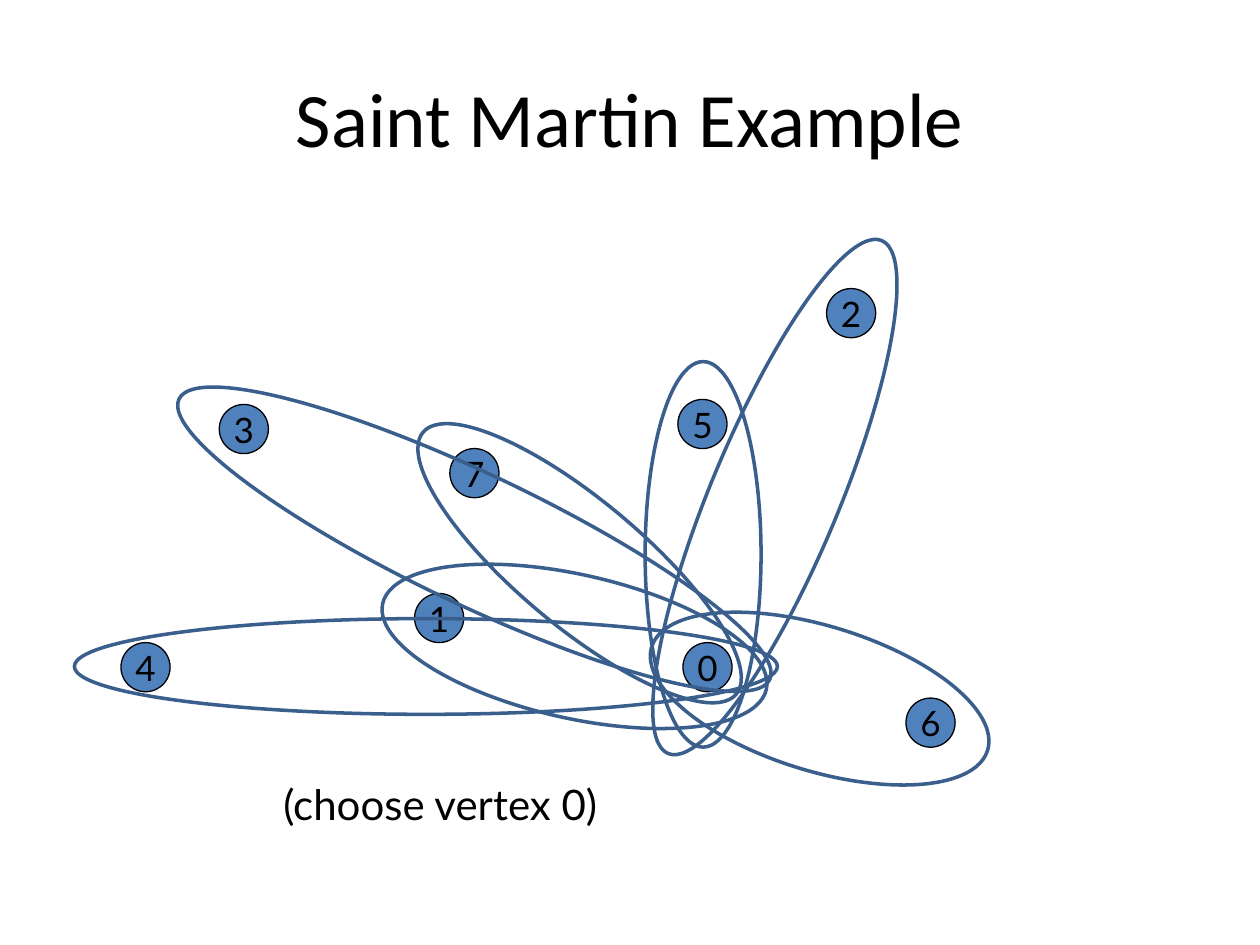
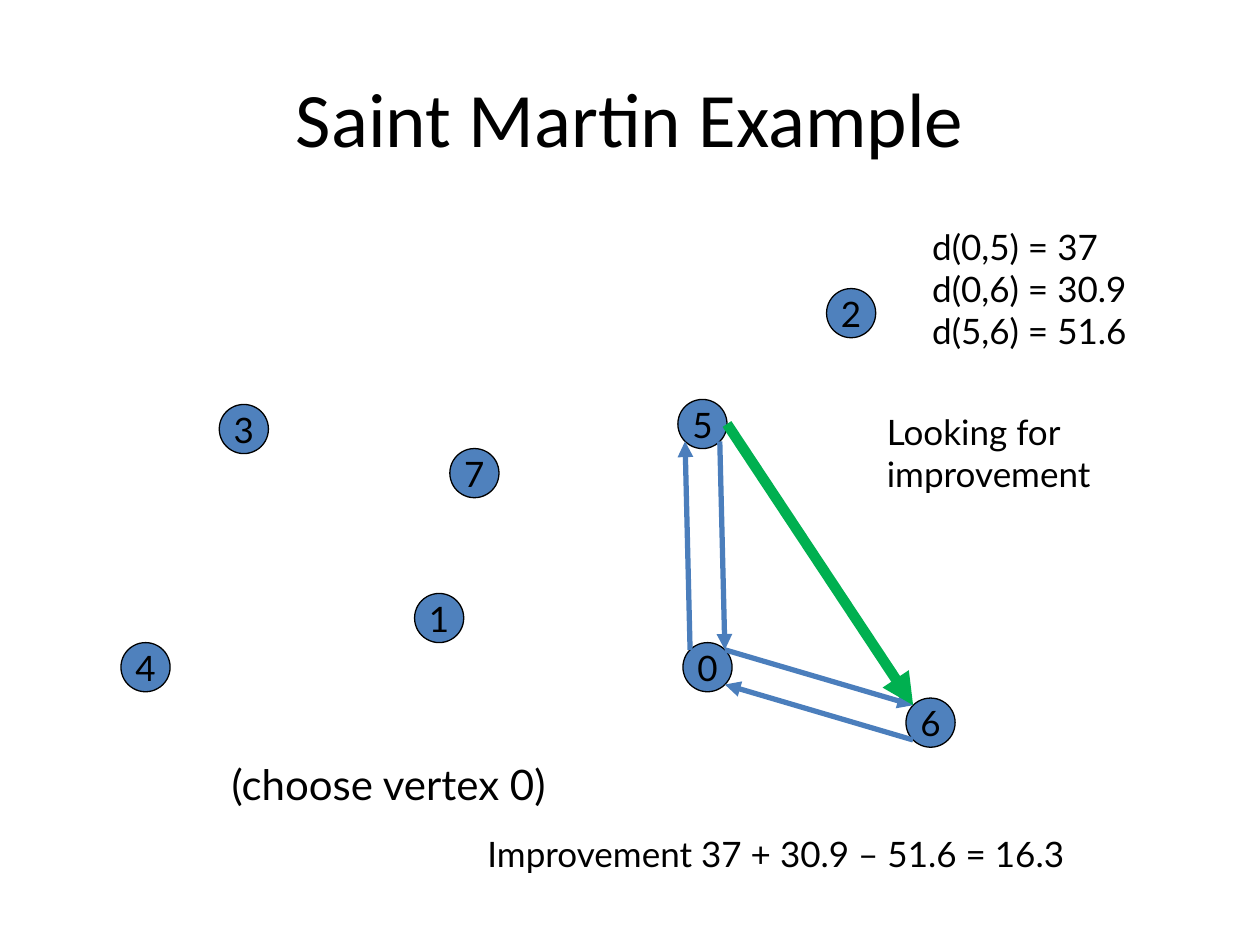
import math

import pptx
import pptx.dml.color
import pptx.enum.shapes
import pptx.enum.text
import pptx.oxml
import pptx.util
from pptx.util import Inches

BLACK, NODE_BLUE, LOOP_BLUE = "000000", "4F81BD", "3A5F8C"
ROUTE_BLUE, SHORTCUT_GREEN = "4B7EBC", "00B050"
TITLE_FONT, BODY_FONT = "Calibri", "Lato"
ALIGN = pptx.enum.text.PP_ALIGN
ANCHOR = pptx.enum.text.MSO_ANCHOR
OVAL = pptx.enum.shapes.MSO_SHAPE.OVAL

# Boxes are left, top, width, height; the graph's parts are relative to its box
TITLE_BOX = (0.5, 0.3, 9, 1.25)
GRAPH_BOX = (0.5, 1.7, 7.5, 4.6)
NODE_SIZE = 0.39
NODES = {
    3: (1.24, 1.51), 0: (4.92, 3.4), 6: (6.69, 3.84), 2: (6.06, 0.59),
    5: (4.88, 1.47), 4: (0.46, 3.4), 1: (2.79, 3.01), 7: (3.07, 1.86),
}

# Return trips from vertex 0: box and rotation, by the vertex visited
LOOPS = {
    5: (4.62, 1.17, 0.92, 3.06, 0),
    6: (4.61, 3.27, 2.79, 1.15, 17.1),
    2: (5.14, 0.04, 1.02, 4.41, 22.6),
    7: (3.6, 1.15, 1, 3.24, 309.9),
    1: (2.5, 2.86, 3.12, 1.14, 12.6),
    4: (0.09, 3.21, 5.58, 0.76, 0),
    3: (0.67, 2.06, 5.19, 1.04, 25.4),
}

# Directions on a node's rim, in degrees clockwise from the right
RIGHT, LOWER_RIGHT, LOWER_LEFT, UPPER_LEFT, UPPER_RIGHT = 0, 45, 135, 225, 315

# Start node and rim direction, end node and rim direction, colour, width
ARROWS = [
    (0, UPPER_LEFT, 5, LOWER_LEFT, ROUTE_BLUE, 3),
    (5, LOWER_RIGHT, 0, UPPER_RIGHT, ROUTE_BLUE, 3),
    (0, UPPER_RIGHT, 6, UPPER_LEFT, ROUTE_BLUE, 3),
    (6, LOWER_LEFT, 0, LOWER_RIGHT, ROUTE_BLUE, 3),
    (5, RIGHT, 6, UPPER_LEFT, SHORTCUT_GREEN, 6),
]


def color(value):
    return pptx.dml.color.RGBColor.from_string(value)


def write(frame, text, size, font=BODY_FONT, align=ALIGN.LEFT, anchor=ANCHOR.TOP):
    frame.text = text
    frame.vertical_anchor = anchor
    for para in frame.paragraphs:
        para.alignment = align
        for span in para.runs:
            span.font.size = pptx.util.Pt(size)
            span.font.name = font
            span.font.color.rgb = color(BLACK)


def add_text(page, box, text, size=20, **style):
    frame = page.shapes.add_textbox(*map(Inches, box)).text_frame
    frame.word_wrap = True
    write(frame, text, size, **style)


def add_oval(page, box, line, width, fill=None):
    oval = page.shapes.add_shape(OVAL, *map(Inches, box))
    oval.shadow.inherit = False
    if fill:
        oval.fill.solid()
        oval.fill.fore_color.rgb = color(fill)
    else:
        oval.fill.background()
    oval.line.color.rgb = color(line)
    oval.line.width = pptx.util.Pt(width)
    return oval


def add_nodes(page, box):
    for number, (x, y) in NODES.items():
        node = add_oval(page, (box[0] + x, box[1] + y, NODE_SIZE, NODE_SIZE),
                        BLACK, 0.75, NODE_BLUE)
        frame = node.text_frame
        frame.margin_left = frame.margin_right = 0
        frame.margin_top = frame.margin_bottom = 0
        frame.word_wrap = False
        write(frame, str(number), 20, align=ALIGN.CENTER, anchor=ANCHOR.MIDDLE)


def add_loops(page, box):
    for x, y, width, height, rotation in LOOPS.values():
        loop = add_oval(page, (box[0] + x, box[1] + y, width, height), LOOP_BLUE, 2)
        loop.rotation = rotation


def rim_point(box, number, direction):
    x, y = NODES[number]
    angle, radius = math.radians(direction), NODE_SIZE / 2
    return (Inches(box[0] + x + radius * (1 + math.cos(angle))),
            Inches(box[1] + y + radius * (1 + math.sin(angle))))


def add_arrows(page, box):
    straight = pptx.enum.shapes.MSO_CONNECTOR.STRAIGHT
    for start, start_side, end, end_side, line_color, width in ARROWS:
        arrow = page.shapes.add_connector(
            straight, *rim_point(box, start, start_side), *rim_point(box, end, end_side))
        arrow.line.color.rgb = color(line_color)
        arrow.line.width = pptx.util.Pt(width)
        # Arrowhead, and no shadow
        properties = arrow.element.spPr
        tag = pptx.oxml.ns.qn
        head = pptx.oxml.xmlchemy.OxmlElement("a:tailEnd")
        head.set("type", "triangle")
        properties.find(tag("a:ln")).append(head)
        properties.append(pptx.oxml.xmlchemy.OxmlElement("a:effectLst"))


def add_example_page(deck, choice_box):
    """Add a page with the title, the vertices and the choice of start."""
    page = deck.slides.add_slide(deck.slide_layouts[6])
    add_text(page, TITLE_BOX, "Saint Martin Example", 44, font=TITLE_FONT,
             align=ALIGN.CENTER, anchor=ANCHOR.MIDDLE)
    add_nodes(page, GRAPH_BOX)
    add_text(page, choice_box, "(choose vertex 0)", 24)
    return page


def main():
    deck = pptx.Presentation()
    deck.slide_width, deck.slide_height = Inches(10), Inches(7.5)

    # Every vertex on its own return trip
    page = add_example_page(deck, (2.15, 6.13, 2.79, 0.5))
    add_loops(page, GRAPH_BOX)

    # Saving made by joining two trips
    page = add_example_page(deck, (1.74, 5.97, 2.79, 0.5))
    add_arrows(page, GRAPH_BOX)
    add_text(page, (6.94, 3.21, 2.36, 0.77), "Looking for\nimprovement")
    add_text(page, (7.3, 1.74, 2.36, 1.11), "d(0,5) = 37\nd(0,6) = 30.9\nd(5,6) = 51.6")
    add_text(page, (3.77, 6.56, 5.21, 0.44), "Improvement 37 + 30.9 – 51.6 = 16.3")

    deck.save("out.pptx")


if __name__ == "__main__":
    main()
